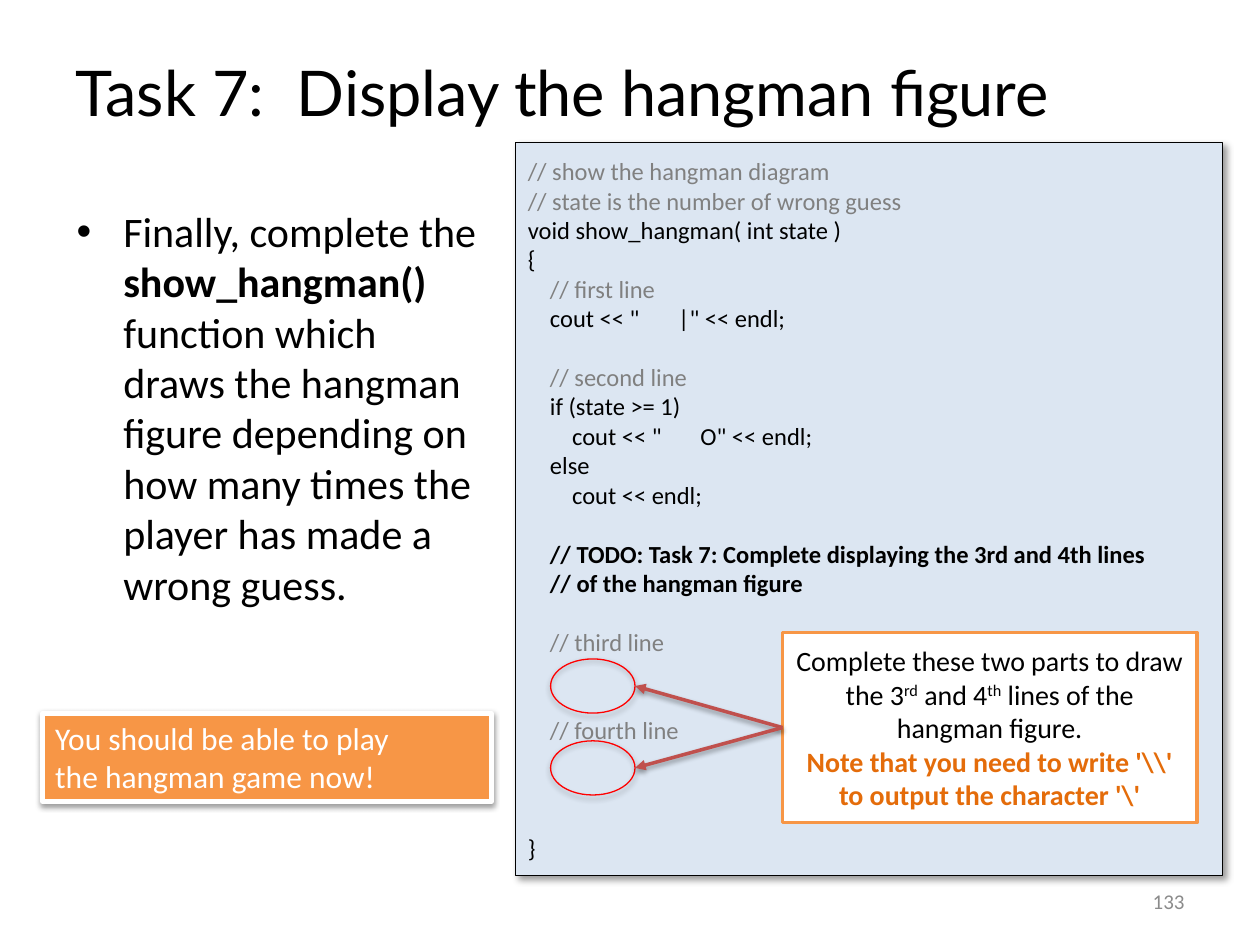
"""Build the slide for Task 7, displaying the hangman figure."""
from pptx import Presentation
from pptx.dml.color import RGBColor
from pptx.enum.shapes import MSO_CONNECTOR as Link, MSO_SHAPE as Shape
from pptx.enum.text import MSO_ANCHOR as Anchor, PP_ALIGN as Align
from pptx.oxml import parse_xml
from pptx.oxml.ns import nsdecls
from pptx.util import Inches, Pt

WIDTH, HEIGHT = Inches(10), Inches(7.5)
BLACK, GREY, WHITE = "000000", "808080", "FFFFFF"
ORANGE, DARK_ORANGE, RED, BRICK = "F79646", "E46C0A", "FF0000", "C0504D"
CODE_SIZE, CODE_PITCH = 14, 16.8

AREAS = {  # left, top, width, height in percent of the slide
    "title": (5, 1.33, 90, 16.67),
    "body": (5, 21.07, 34.1, 68.27),
    "number": (71.7, 92.67, 23.3, 5.33),
    "code": (40.9, 15.07, 56.1, 77.6),
    "third": (43.7, 69.73, 6.7, 5.73),
    "fourth": (43.7, 78.4, 6.7, 5.73),
    "callout": (62.1, 66.93, 32.9, 20.13),
    "banner": (3.4, 75.47, 35.6, 9.33),
}
TITLE = "Task 7:  Display the hangman figure"
BODY = [
    ("Finally, complete the ", {}),
    ("show_hangman() ", {"bold": True}),
    ("function which draws the hangman figure depending on how many times "
     "the player has made a wrong guess.", {}),
]
CODE = [
    (0, "// show the hangman diagram"),
    (0, "// state is the number of wrong guess"),
    (0, "void show_hangman( int state )"),
    (0, "{"),
    (0, "    // first line"),
    (0, '    cout << "       |" << endl;'),
    (1, "    // second line"),
    (0, "    if (state >= 1)"),
    (0, '        cout << "       O" << endl;'),
    (0, "    else"),
    (0, "        cout << endl;"),
    (1, "    // TODO: Task 7: Complete displaying the 3rd and 4th lines"),
    (0, "    // of the hangman figure"),
    (1, "    // third line"),
    (2, "    // fourth line"),
    (3, "}"),
]
TODO = ("TODO", "of the hangman")
CALLOUT = [
    [("Complete these two parts to draw the 3", {}), ("rd", {"raised": True}),
     (" and 4", {}), ("th", {"raised": True}),
     (" lines of the hangman figure.", {})],
    [(r"Note that you need to write '\\' to output the character '\'",
      {"bold": True, "color": DARK_ORANGE})],
]
BANNER = ["You should be able to play", "the hangman game now!"]


def rgb(value):
    """Turn a hex string into a colour."""
    return RGBColor.from_string(value)


def area(name):
    """Return the left, top, width and height of a named area."""
    return [int(size * share / 100) for size, share
            in zip((WIDTH, HEIGHT) * 2, AREAS[name])]


def add_span(para, text, size, color=BLACK, bold=False, raised=False, font="Calibri"):
    """Add one formatted run to a paragraph."""
    span = para.add_run()
    span.text = text
    span.font.name, span.font.size, span.font.bold = font, Pt(size), bold
    span.font.color.rgb = rgb(color)
    if raised:
        span._r.get_or_add_rPr().set("baseline", "30000")


def add_para(frame, spans, size, align=Align.LEFT, gap=0):
    """Fill the empty first paragraph or add another one."""
    first = frame.paragraphs[0]
    para = frame.add_paragraph() if first.runs else first
    para.alignment = align
    if gap:
        para.space_before = Pt(gap)
    for text, style in spans:
        add_span(para, text, size, **style)
    return para


def add_shadow(shape, alpha, blur, distance, angle):
    """Give a shape or connector an outer shadow."""
    shape._element.spPr.append(parse_xml(
        f'<a:effectLst {nsdecls("a")}><a:outerShdw blurRad="{Pt(blur)}" '
        f'dist="{Pt(distance)}" dir="{angle * 60000}" rotWithShape="0">'
        f'<a:srgbClr val="{BLACK}"><a:alpha val="{alpha * 1000}"/></a:srgbClr>'
        '</a:outerShdw></a:effectLst>'))


def add_panel(page, name, kind, fill, line, weight, shadow=None):
    """Add a preset shape and return it."""
    panel = page.shapes.add_shape(kind, *area(name))
    if fill:
        panel.fill.solid()
        panel.fill.fore_color.rgb = rgb(fill)
    else:
        panel.fill.background()
    panel.line.color.rgb, panel.line.width = rgb(line), Pt(weight)
    if shadow:
        add_shadow(panel, *shadow)
    else:
        panel.shadow.inherit = False
    panel.text_frame.word_wrap = True
    panel.text_frame.vertical_anchor = Anchor.MIDDLE
    return panel


def add_box(page, name, anchor):
    """Add a wrapping text box and return its frame."""
    frame = page.shapes.add_textbox(*area(name)).text_frame
    frame.word_wrap, frame.vertical_anchor = True, anchor
    return frame


def add_arrow(page, target, source):
    """Point from the left side of the source to the right side of the target."""
    arrow = page.shapes.add_connector(
        Link.STRAIGHT, target.left + target.width, target.top + target.height // 2,
        source.left, source.top + source.height // 2)
    arrow.line.color.rgb, arrow.line.width = rgb(BRICK), Pt(2)
    arrow.line._get_or_add_ln().append(
        parse_xml(f'<a:headEnd {nsdecls("a")} type="triangle"/>'))
    add_shadow(arrow, 38, 3.1, 1.6, 90)


def add_title(page):
    """Move and fill the title placeholder."""
    title = page.shapes.title
    title.left, title.top, title.width, title.height = area("title")
    title.text_frame.vertical_anchor = Anchor.MIDDLE
    add_para(title.text_frame, [(TITLE, {"font": "Lato"})], 36)


def add_body(page):
    """Add the bulleted explanation."""
    para = add_para(add_box(page, "body", Anchor.TOP), BODY, 24)
    props = para._p.get_or_add_pPr()
    props.set("marL", str(Inches(0.38)))
    props.set("indent", str(Inches(-0.37)))
    for bullet in ('buFont {} typeface="Arial"', 'buChar {} char="•"'):
        props.append(parse_xml(f'<a:{bullet.format(nsdecls("a"))}/>'))


def add_code(page):
    """Add the code panel, with grey comments and a bold task."""
    panel = add_panel(page, "code", Shape.RECTANGLE, "DCE6F2", BLACK, 0.75, (40, 4, 3, 45))
    for blanks, line in CODE:
        bold = any(mark in line for mark in TODO)
        comment = line.strip().startswith("//") and not bold
        style = {"bold": bold, "color": GREY if comment else BLACK}
        add_para(panel.text_frame, [(line, style)], CODE_SIZE, gap=blanks * CODE_PITCH)


def main():
    """Build and save the deck."""
    deck = Presentation()
    deck.slide_width, deck.slide_height = WIDTH, HEIGHT
    page = deck.slides.add_slide(deck.slide_layouts[5])
    add_title(page)
    add_body(page)
    add_para(add_box(page, "number", Anchor.MIDDLE),
             [("133", {"color": "8B8B8B"})], 12, Align.RIGHT)
    add_code(page)
    callout = add_panel(page, "callout", Shape.RECTANGLE, WHITE, ORANGE, 2)
    for spans in CALLOUT:
        add_para(callout.text_frame, spans, 16, Align.CENTER)
    for name in ("third", "fourth"):
        ring = add_panel(page, name, Shape.OVAL, None, RED, 0.75, (35, 3.1, 1.8, 90))
        add_arrow(page, ring, callout)
    banner = add_panel(page, "banner", Shape.RECTANGLE, ORANGE, WHITE, 3, (38, 3.1, 1.6, 90))
    banner.text_frame.vertical_anchor = Anchor.TOP
    for line in BANNER:
        add_para(banner.text_frame, [(line, {"color": WHITE})], 18)
    deck.save("out.pptx")


if __name__ == "__main__":
    main()
